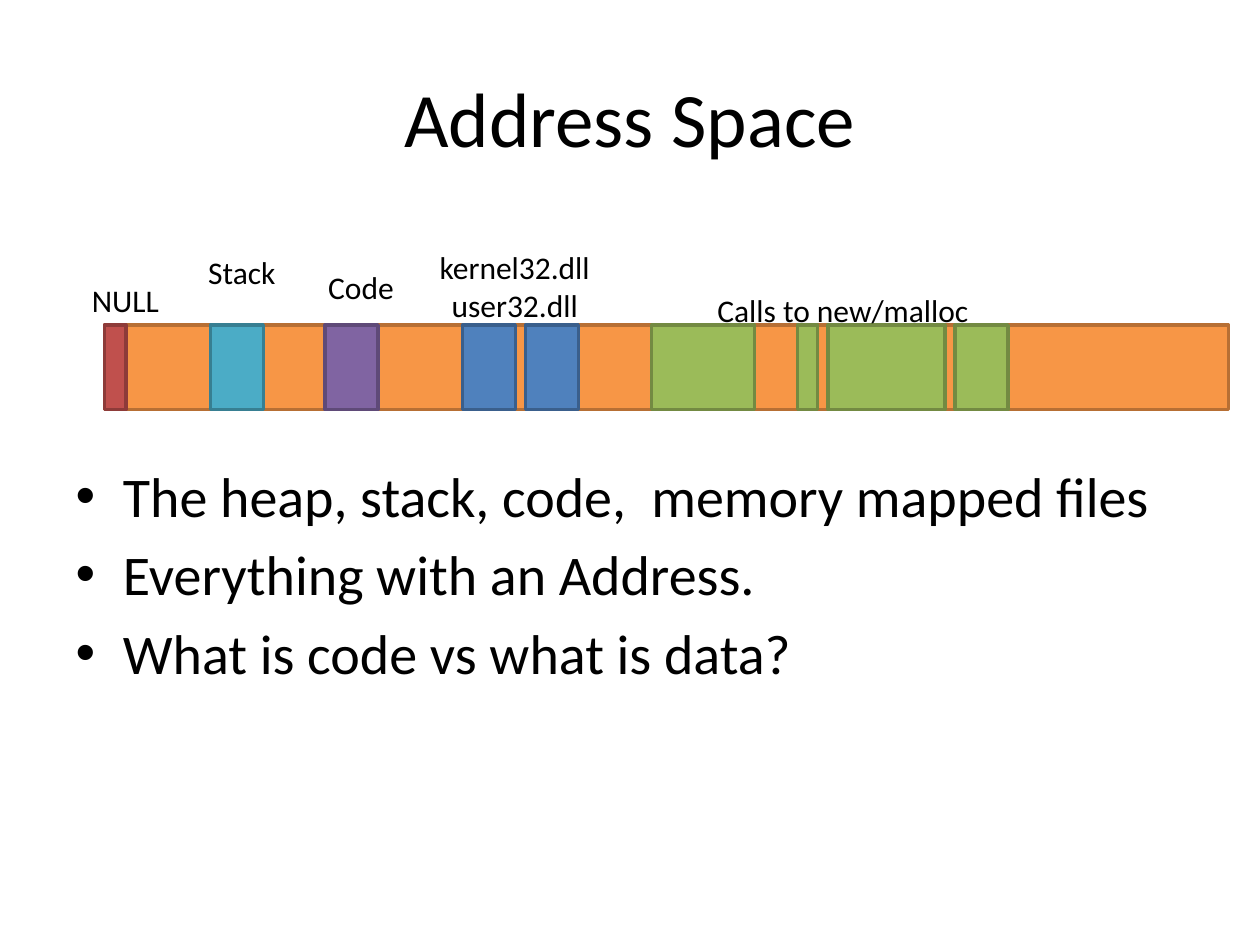
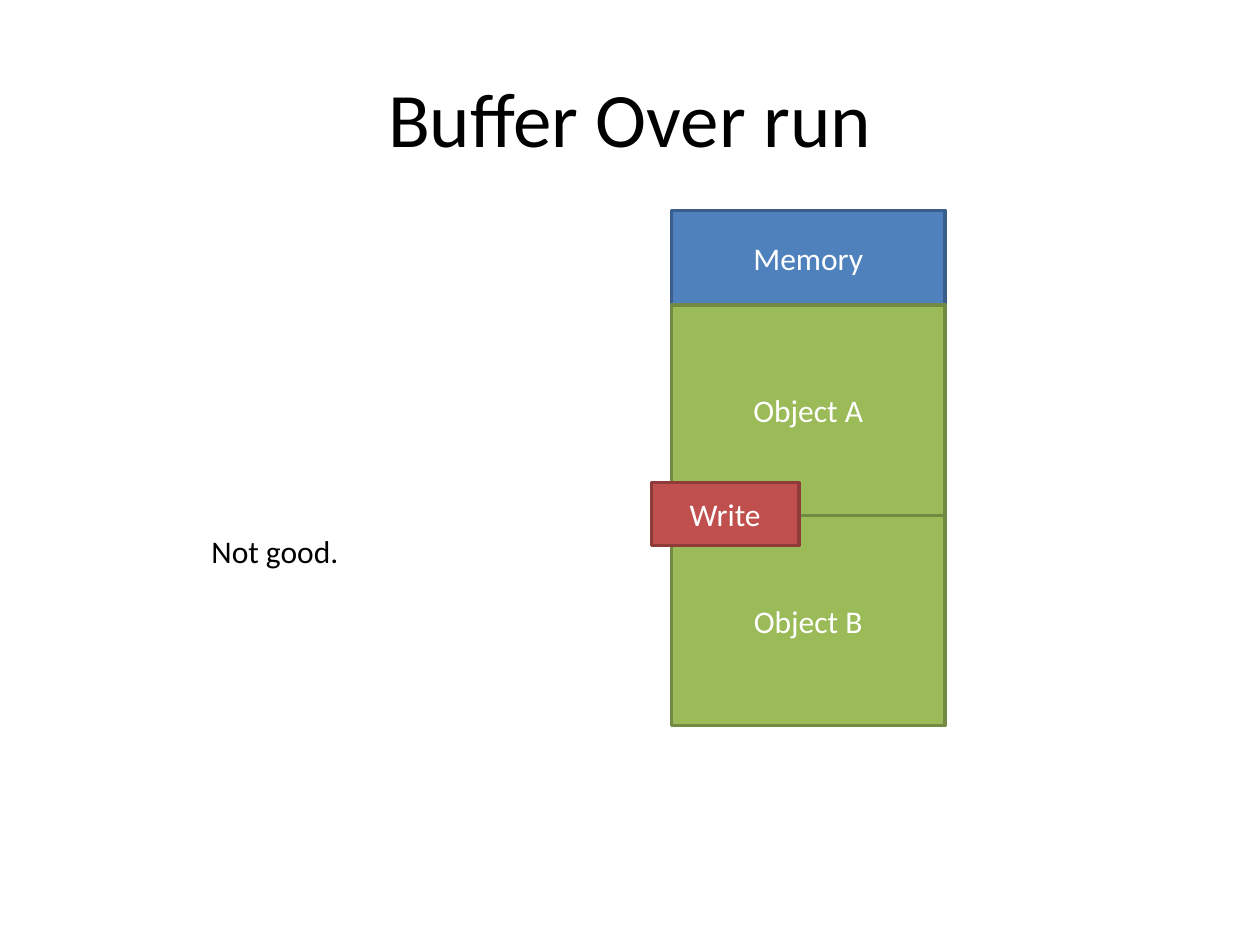
import pptx
import pptx.dml.color
import pptx.enum.shapes
import pptx.enum.text
import pptx.util

Inches = pptx.util.Inches
Pt = pptx.util.Pt
CENTER = pptx.enum.text.PP_ALIGN.CENTER
LEFT = pptx.enum.text.PP_ALIGN.LEFT

ORANGE = ("F79646", "B76F34")
TEAL = ("4BACC6", "377F92")
PURPLE = ("8064A2", "5F4A78")
GREEN = ("9BBB59", "738A42")
BLUE = ("4F81BD", "3A5F8C")
RED = ("C0504D", "8E3B39")


def rgb(value):
    return pptx.dml.color.RGBColor.from_string(value)


class Deck:
    font = "Calibri"
    ink = "000000"
    paper = "FFFFFF"
    title_size = 44
    body_size = 32
    label_size = 18
    line_width = 2

    def __init__(self):
        self.prs = pptx.Presentation()
        self.prs.slide_width = Inches(10)
        self.prs.slide_height = Inches(7.5)

    def slide(self, layout, title):
        self.s = self.prs.slides.add_slide(self.prs.slide_layouts.get_by_name(layout))
        self.shapes = self.s.shapes
        sp = self.s.shapes.title
        self.place(sp, 0.5, 0.3, 9, 1.25)
        self.set_text(sp.text_frame, [title], self.title_size, self.ink, CENTER)

    def place(self, sp, left, top, width, height):
        sp.left, sp.top = Inches(left), Inches(top)
        sp.width, sp.height = Inches(width), Inches(height)

    def set_text(self, tf, lines, size, color, align):
        tf.text = "\n".join(lines)
        for p in tf.paragraphs:
            p.alignment = align
            p.font.name = self.font
            p.font.size = Pt(size)
            p.font.color.rgb = rgb(color)

    def bullets(self, lines, left, top, width, height):
        sp = self.s.placeholders[1]
        self.place(sp, left, top, width, height)
        self.set_text(sp.text_frame, lines, self.body_size, self.ink, LEFT)

    def group(self):
        self.shapes = self.s.shapes.add_group_shape().shapes

    def ungroup(self):
        self.shapes = self.s.shapes

    def block(self, colors, left, top, width, height, text=None):
        fill, line = colors
        sp = self.shapes.add_shape(
            pptx.enum.shapes.MSO_SHAPE.RECTANGLE,
            Inches(left), Inches(top), Inches(width), Inches(height))
        sp.shadow.inherit = False
        sp.fill.solid()
        sp.fill.fore_color.rgb = rgb(fill)
        sp.line.color.rgb = rgb(line)
        sp.line.width = Pt(self.line_width)
        if text:
            sp.text_frame.vertical_anchor = pptx.enum.text.MSO_ANCHOR.MIDDLE
            self.set_text(sp.text_frame, [text], self.label_size, self.paper, CENTER)

    def label(self, lines, left, top, width, height=0.4, align=CENTER):
        sp = self.shapes.add_textbox(
            Inches(left), Inches(top), Inches(width), Inches(height))
        tf = sp.text_frame
        tf.word_wrap = False
        tf.auto_size = pptx.enum.text.MSO_AUTO_SIZE.SHAPE_TO_FIT_TEXT
        self.set_text(tf, lines, self.label_size, self.ink, align)


def address_space(deck):
    deck.slide("Title and Content", "Address Space")
    deck.bullets(
        ["The heap, stack, code,  memory mapped files",
         "Everything with an Address.",
         "What is code vs what is data?"],
        0.5, 3.61, 9, 3.09)

    def region(colors, left, width=0.42):
        deck.block(colors, left, 2.58, width, 0.67)

    region(ORANGE, 0.83, 8.92)
    region(TEAL, 1.67)
    deck.label(["Stack"], 1.55, 1.96, 0.74)
    deck.label(["NULL"], 0.57, 2.18, 0.85)
    region(PURPLE, 2.58)

    deck.group()
    for left, width in [(5.17, 0.82), (6.33, 0.16), (6.57, 0.93), (7.58, 0.42)]:
        region(GREEN, left, width)
    deck.label(["Calls to new/malloc"], 5.5, 2.26, 2.38)

    deck.group()
    for left in (3.67, 4.17):
        region(BLUE, left)
    deck.label(["kernel32.dll", "user32.dll"], 3.34, 1.92, 1.49, 0.71)

    deck.ungroup()
    region(RED, 0.83, 0.17)
    deck.label(["Code"], 2.5, 2.08, 0.73)


def buffer_overrun(deck):
    deck.slide("Title Only", "Buffer Over run")
    top = 1.67
    for text, colors, height in [
            ("Memory", BLUE, 0.75), ("Object A", GREEN, 1.67), ("Object B", GREEN, 1.67)]:
        deck.block(colors, 5.33, top, 2.17, height, text)
        top += height
    deck.block(RED, 5.17, 3.83, 1.17, 0.5, "Write")
    deck.label(["Not good."], 1.58, 4.17, 1.22, align=LEFT)


def main():
    deck = Deck()
    address_space(deck)
    buffer_overrun(deck)
    deck.prs.save("out.pptx")


if __name__ == "__main__":
    main()
